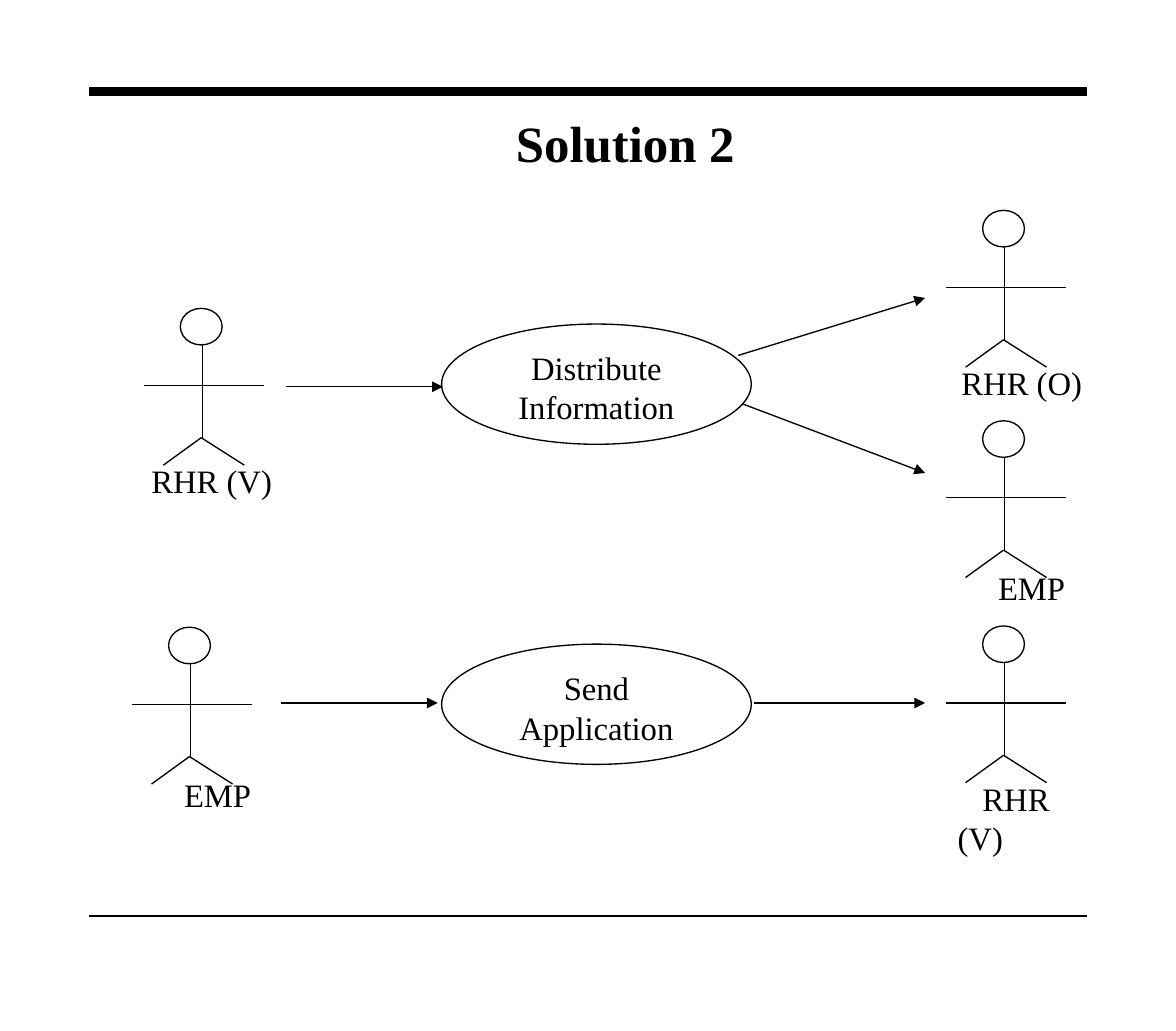
"""Build the "Solution 2" use case diagram slide."""
from dataclasses import dataclass

from lxml import etree
from pptx import Presentation
from pptx.dml.color import RGBColor
from pptx.enum.shapes import MSO_CONNECTOR, MSO_SHAPE
from pptx.enum.text import MSO_ANCHOR, MSO_AUTO_SIZE, PP_ALIGN
from pptx.oxml.ns import qn
from pptx.shapes.base import BaseShape
from pptx.shapes.connector import Connector
from pptx.slide import Slide
from pptx.util import Inches, Pt

STRAIGHT = MSO_CONNECTOR.STRAIGHT
ELLIPSE, HEAD = MSO_SHAPE.OVAL, MSO_SHAPE.FLOWCHART_CONNECTOR
TOP, MIDDLE = MSO_ANCHOR.TOP, MSO_ANCHOR.MIDDLE
NO_FIT = MSO_AUTO_SIZE.NONE
LEFT, CENTER = PP_ALIGN.LEFT, PP_ALIGN.CENTER
TITLE_ONLY = 5


@dataclass(frozen=True)
class Theme:
    """Colours, font, type sizes and line widths."""
    ink: RGBColor = RGBColor(0, 0, 0)
    paper: RGBColor = RGBColor(255, 255, 255)
    font: str = "Times New Roman"
    title: float = 28
    body: float = 18
    thin: float = 0.75
    footer_rule: float = 1
    header_rule: float = 4.5


@dataclass(frozen=True)
class Line:
    """A straight line, with an arrowhead at its end if wanted."""
    x1: float
    y1: float
    x2: float
    y2: float
    width: float
    arrow: bool = False


@dataclass(frozen=True)
class UseCase:
    """A use case ellipse."""
    text: str
    left: float
    top: float


@dataclass(frozen=True)
class Actor:
    """A stick figure placed by its head, with a label below."""
    name: str
    left: float
    top: float
    label_left: float
    label_top: float
    indent: float = 0


THEME = Theme()
HEAD_SIZE = (0.32, 0.28)
USE_CASE_SIZE = (2.37, 0.92)
LABEL_SIZE = (1.18, 0.5)
LIMBS = (
    (0.17, 0.28, 0.17, 0.99),
    (0.16, 0.99, -0.13, 1.2),
    (0.16, 0.99, 0.49, 1.2),
    (-0.28, 0.59, 0.64, 0.59),
)
RULES = (
    Line(0.68, 0.7, 8.32, 0.7, THEME.header_rule),
    Line(0.68, 7.01, 8.32, 7.01, THEME.footer_rule),
)
USE_CASES = (
    UseCase("Distribute Information", 3.38, 2.48),
    UseCase("Send Application", 3.38, 4.93),
)
ACTORS = (
    Actor("RHR (V)", 1.38, 2.36, 1.03, 3.48),
    Actor("EMP", 7.52, 3.22, 7.23, 4.3, 0.31),
    Actor("RHR (O)", 7.52, 1.61, 7.23, 2.73),
    Actor("EMP", 1.29, 4.8, 1.06, 5.88, 0.25),
    Actor("RHR (V)", 7.52, 4.79, 7.23, 5.91, 0.19),
)
ARROWS = (
    Line(2.19, 2.96, 3.39, 2.96, THEME.thin, True),
    Line(5.68, 3.09, 7.08, 3.62, THEME.thin, True),
    Line(5.65, 2.72, 7.08, 2.28, THEME.thin, True),
    Line(5.77, 5.38, 7.08, 5.38, THEME.thin, True),
    Line(2.15, 5.38, 3.35, 5.38, THEME.thin, True),
)


def write(box: BaseShape, text: str, size: float, align: PP_ALIGN = CENTER,
          anchor: MSO_ANCHOR = TOP, bold: bool = False, indent: float = 0) -> None:
    """Put one formatted paragraph in a box."""
    frame = box.text_frame
    frame_format = {
        "word_wrap": True, "auto_size": NO_FIT, "vertical_anchor": anchor,
        "margin_left": Inches(0.1), "margin_right": Inches(0.1),
        "margin_top": Inches(0.05), "margin_bottom": Inches(0.05),
    }
    for name, value in frame_format.items():
        setattr(frame, name, value)
    para = frame.paragraphs[0]
    para.alignment = align
    if indent:
        para._p.get_or_add_pPr().set("indent", str(Inches(indent)))
    span = para.add_run()
    span.text = text
    for name, value in {"name": THEME.font, "size": Pt(size), "bold": bold}.items():
        setattr(span.font, name, value)
    span.font.color.rgb = THEME.ink


def draw_line(page: Slide, line: Line) -> Connector:
    """Draw a line without a shadow."""
    ends = (Inches(value) for value in (line.x1, line.y1, line.x2, line.y2))
    connector = page.shapes.add_connector(STRAIGHT, *ends)
    connector.line.color.rgb = THEME.ink
    connector.line.width = Pt(line.width)
    if line.arrow:
        outline = connector.line._get_or_add_ln()
        etree.SubElement(outline, qn("a:tailEnd"), type="triangle")
    etree.SubElement(connector._element.spPr, qn("a:effectLst"))
    return connector


def draw_round(page: Slide, kind: MSO_SHAPE, left: float, top: float,
               size: tuple[float, float]) -> BaseShape:
    """Draw a white round shape with a thin outline."""
    shape = page.shapes.add_shape(kind, *map(Inches, (left, top, *size)))
    shape.shadow.inherit = False
    shape.fill.solid()
    shape.fill.fore_color.rgb = THEME.paper
    shape.line.color.rgb = THEME.ink
    shape.line.width = Pt(THEME.thin)
    return shape


def draw_actor(page: Slide, actor: Actor) -> None:
    """Draw a stick figure and its label."""
    draw_round(page, HEAD, actor.left, actor.top, HEAD_SIZE)
    for x1, y1, x2, y2 in LIMBS:
        draw_line(page, Line(actor.left + x1, actor.top + y1,
                             actor.left + x2, actor.top + y2, THEME.thin))
    label = page.shapes.add_textbox(
        *map(Inches, (actor.label_left, actor.label_top, *LABEL_SIZE)))
    align = LEFT if actor.indent else CENTER
    write(label, actor.name, THEME.body, align, indent=actor.indent)


def main() -> None:
    """Build and save the deck."""
    deck = Presentation()
    deck.slide_width, deck.slide_height = Inches(9), Inches(7.89)
    page = deck.slides.add_slide(deck.slide_layouts[TITLE_ONLY])
    title = page.shapes.title
    place = {"left": 3.62, "top": 0.83, "width": 2.33, "height": 0.51}
    for name, value in place.items():
        setattr(title, name, Inches(value))
    write(title, "Solution 2", THEME.title, anchor=MIDDLE, bold=True)
    for rule in RULES:
        draw_line(page, rule)
    for case in USE_CASES:
        ellipse = draw_round(page, ELLIPSE, case.left, case.top, USE_CASE_SIZE)
        write(ellipse, case.text, THEME.body)
    for actor in ACTORS:
        draw_actor(page, actor)
    for arrow in ARROWS:
        draw_line(page, arrow)
    deck.save("out.pptx")


if __name__ == "__main__":
    main()
